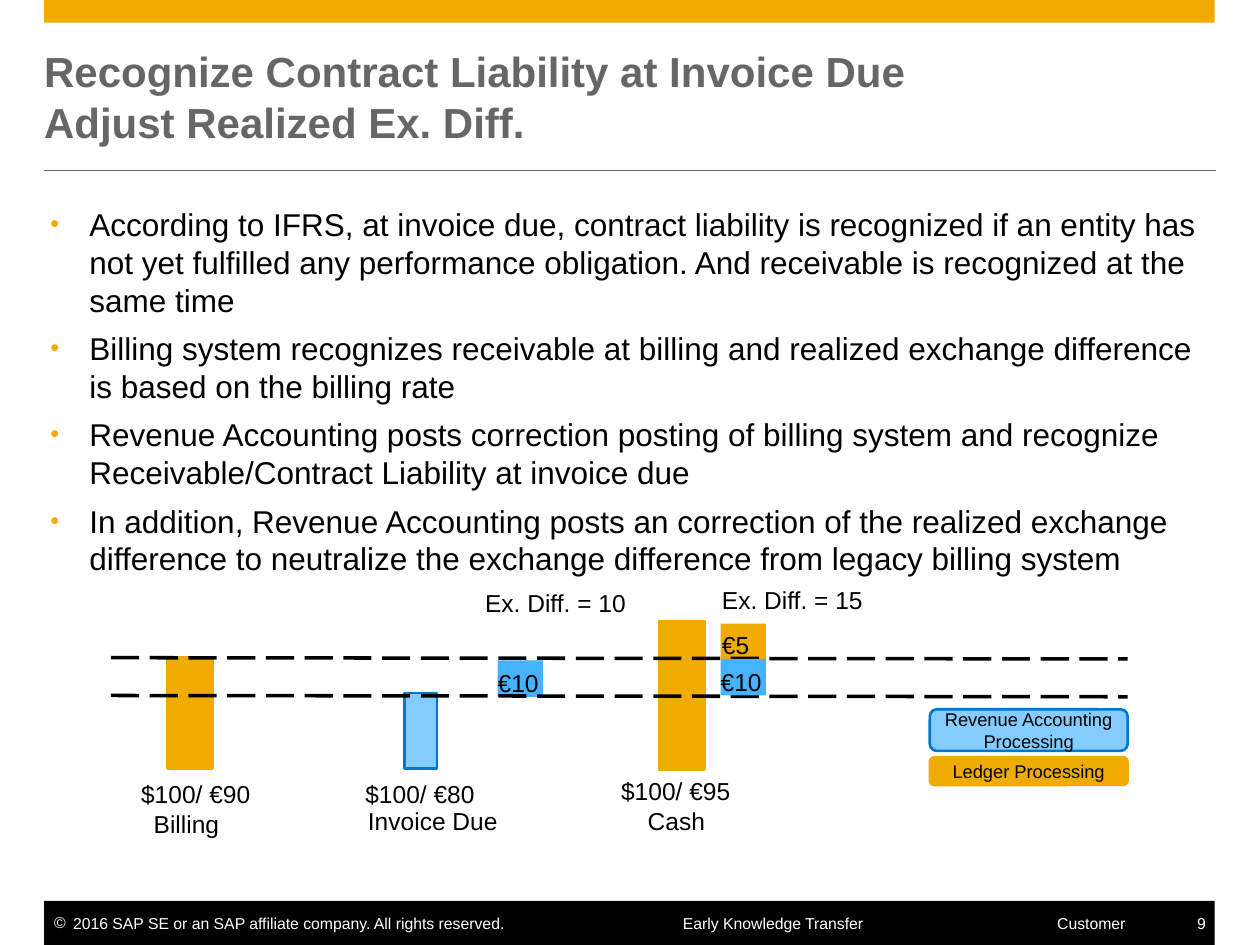
from dataclasses import dataclass
from lxml.etree import SubElement as Sub
from pptx import Presentation
from pptx.dml.color import RGBColor as Rgb
from pptx.enum.dml import MSO_LINE as Dash
from pptx.enum.shapes import MSO_CONNECTOR as Conn, MSO_SHAPE as Kind
from pptx.enum.text import MSO_ANCHOR as Anchor, PP_ALIGN as Align
from pptx.oxml.ns import qn
from pptx.util import Inches, Pt

HUES = {
    "gold": "F0AB00", "grey": "666666", "black": "000000", "white": "FFFFFF",
    "blue": "47B2FF", "pale": "84CCFF", "edge": "0076CB",
}
FONT = "Arial"
LEFT, WIDE = 0.35, 9.29
FOOT = 7.25


@dataclass
class Block:
    x: float
    y: float
    w: float
    h: float
    fill: str
    edge: str = ""
    text: str = ""


@dataclass
class Label:
    text: str
    x: float
    y: float
    w: float


def hue(name: str) -> Rgb:
    return Rgb.from_string(HUES[name])


def mark(par, char: str, color: str, indent: float, size: int = 100) -> None:
    """Give a paragraph a hanging bullet."""
    props = par._p.get_or_add_pPr()
    props.set("marL", str(Inches(indent)))
    props.set("indent", str(-Inches(indent)))
    Sub(Sub(props, qn("a:buClr")), qn("a:srgbClr"), val=HUES[color])
    Sub(props, qn("a:buSzPct"), val=str(size * 1000))
    Sub(props, qn("a:buFont"), typeface=FONT)
    Sub(props, qn("a:buChar"), char=char)


def write(frame, *texts: str, size: float = 14, color: str = "black",
          bold: bool = False, align=Align.LEFT, anchor=Anchor.TOP,
          pad=(0, 0, 0, 0), wrap: bool = True, gap: float = 0,
          bullet=None) -> None:
    """Fill a text frame, one paragraph per text; pad is left, top, right, bottom."""
    frame.word_wrap = wrap
    frame.vertical_anchor = anchor
    (frame.margin_left, frame.margin_top,
     frame.margin_right, frame.margin_bottom) = map(Inches, pad)
    for i, text in enumerate(texts):
        par = frame.add_paragraph() if i else frame.paragraphs[0]
        par.text = text
        if bullet:
            mark(par, *bullet)
        par.alignment = align
        par.space_before = Pt(gap if i else 0)
        for run in par.runs:
            font = run.font
            font.name, font.size, font.bold = FONT, Pt(size), bold
            font.color.rgb = hue(color)


def place(slide, x: float, y: float, w: float, h: float, *texts: str, **style) -> None:
    box = slide.shapes.add_textbox(Inches(x), Inches(y), Inches(w), Inches(h))
    write(box.text_frame, *texts, **style)


def draw(slide, block: Block) -> None:
    kind = Kind.ROUNDED_RECTANGLE if block.text else Kind.RECTANGLE
    spot = map(Inches, (block.x, block.y, block.w, block.h))
    shape = slide.shapes.add_shape(kind, *spot)
    shape.shadow.inherit = False
    shape.fill.solid()
    shape.fill.fore_color.rgb = hue(block.fill)
    if block.edge:
        shape.line.color.rgb = hue(block.edge)
        shape.line.width = Pt(1.5)
    else:
        shape.line.fill.background()
    if block.text:
        write(shape.text_frame, block.text, size=10.5, align=Align.CENTER,
              anchor=Anchor.MIDDLE, pad=(0.07, 0.06, 0.07, 0.06))


def rule(slide, x: float, y: float, end: float, drop: float = 0,
         color: str = "black", width: float = 2, dash=None) -> None:
    """Draw a line from (x, y) to (end, y + drop)."""
    line = slide.shapes.add_connector(
        Conn.STRAIGHT, Inches(x), Inches(y), Inches(end), Inches(y + drop))
    line.line.color.rgb = hue(color)
    line.line.width = Pt(width)
    if dash:
        line.line.dash_style = dash
    Sub(line._element.spPr, qn("a:effectLst"))


def tag(slide, label: Label) -> None:
    place(slide, label.x, label.y, label.w, 0.24, label.text)


POINTS = (
    "According to IFRS, at invoice due, contract liability is recognized if an entity has not yet "
    "fulfilled any performance obligation. And receivable is recognized at the same time",
    "Billing system recognizes receivable at billing and realized exchange difference is based on "
    "the billing rate",
    "Revenue Accounting posts correction posting of billing system and recognize "
    "Receivable/Contract Liability at invoice due",
    "In addition, Revenue Accounting posts an correction of the realized exchange difference to "
    "neutralize the exchange difference from legacy billing system",
)
BARS = (
    Block(1.33, 5.22, 0.36, 0.88, "gold", "gold"),
    Block(3.95, 5.24, 0.36, 0.29, "blue"),
    Block(3.21, 5.5, 0.26, 0.6, "pale", "edge"),
    Block(5.72, 4.95, 0.36, 0.28, "gold"),
    Block(5.23, 4.93, 0.36, 1.18, "gold", "gold"),
)
LABELS = (
    Label("$100/ €90", 1.12, 6.18, 1.03),
    Label("Billing", 1.22, 6.42, 0.94),
    Label("$100/ €80", 2.9, 6.18, 0.96),
    Label("Invoice Due", 2.92, 6.4, 1.21),
    Label("$100/ €95", 4.93, 6.16, 0.97),
    Label("Cash", 5.14, 6.4, 0.49),
    Label("€10", 3.95, 5.3, 0.41),
    Label("€5", 5.73, 5, 0.33),
    Label("Ex. Diff. = 10", 3.85, 4.67, 1.15),
    Label("Ex. Diff. = 15", 5.73, 4.64, 1.15),
)
LEGEND = (
    Block(7.38, 5.63, 1.57, 0.33, "pale", "edge", "Revenue Accounting Processing"),
    Block(7.38, 6.01, 1.57, 0.22, "gold", "gold", "Ledger Processing"),
)


def frame(slide) -> None:
    """Draw the top band, the title rule and the footer."""
    draw(slide, Block(LEFT, 0, WIDE, 0.18, "gold"))
    rule(slide, LEFT, 1.35, 9.65, color="grey", width=0.5)
    draw(slide, Block(LEFT, 7.15, WIDE, 0.35, "black"))
    small = {"size": 9, "color": "white", "wrap": False}
    place(slide, LEFT, FOOT, 3.7, 0.15,
          "2016 SAP SE or an SAP affiliate company. All rights reserved.",
          pad=(0.08, 0, 0, 0), bullet=("©", "white", 0.15), **small)
    place(slide, 5.34, FOOT, 1.53, 0.15, "Early Knowledge Transfer",
          pad=(0.08, 0, 0, 0), **small)
    place(slide, 8.39, FOOT, 0.55, 0.15, "Customer", **small)
    place(slide, 9.42, FOOT, 0.23, 0.15, "9", align=Align.RIGHT,
          pad=(0, 0, 0.08, 0), **small)


def main() -> None:
    deck = Presentation()
    deck.slide_width, deck.slide_height = Inches(10), Inches(7.5)
    slide = deck.slides.add_slide(deck.slide_layouts[6])
    frame(slide)
    place(slide, LEFT, 0.35, WIDE, 0.83,
          "Recognize Contract Liability at Invoice Due\vAdjust Realized Ex. Diff.",
          size=24, color="grey", bold=True, anchor=Anchor.MIDDLE)
    place(slide, 0.4, 1.63, 9.25, 2.98, *POINTS, size=18, gap=6,
          bullet=("•", "gold", 0.31, 80))
    for bar in BARS:
        draw(slide, bar)
    for label in LABELS:
        tag(slide, label)
    for y in (5.22, 5.52):
        rule(slide, 0.88, y, 8.95, drop=0.01, dash=Dash.LONG_DASH)
    for key in LEGEND:
        draw(slide, key)
    # This bar and its label lie over the dashed lines
    draw(slide, Block(5.72, 5.23, 0.36, 0.29, "blue"))
    tag(slide, Label("€10", 5.72, 5.29, 0.41))
    deck.save("out.pptx")


if __name__ == "__main__":
    main()
